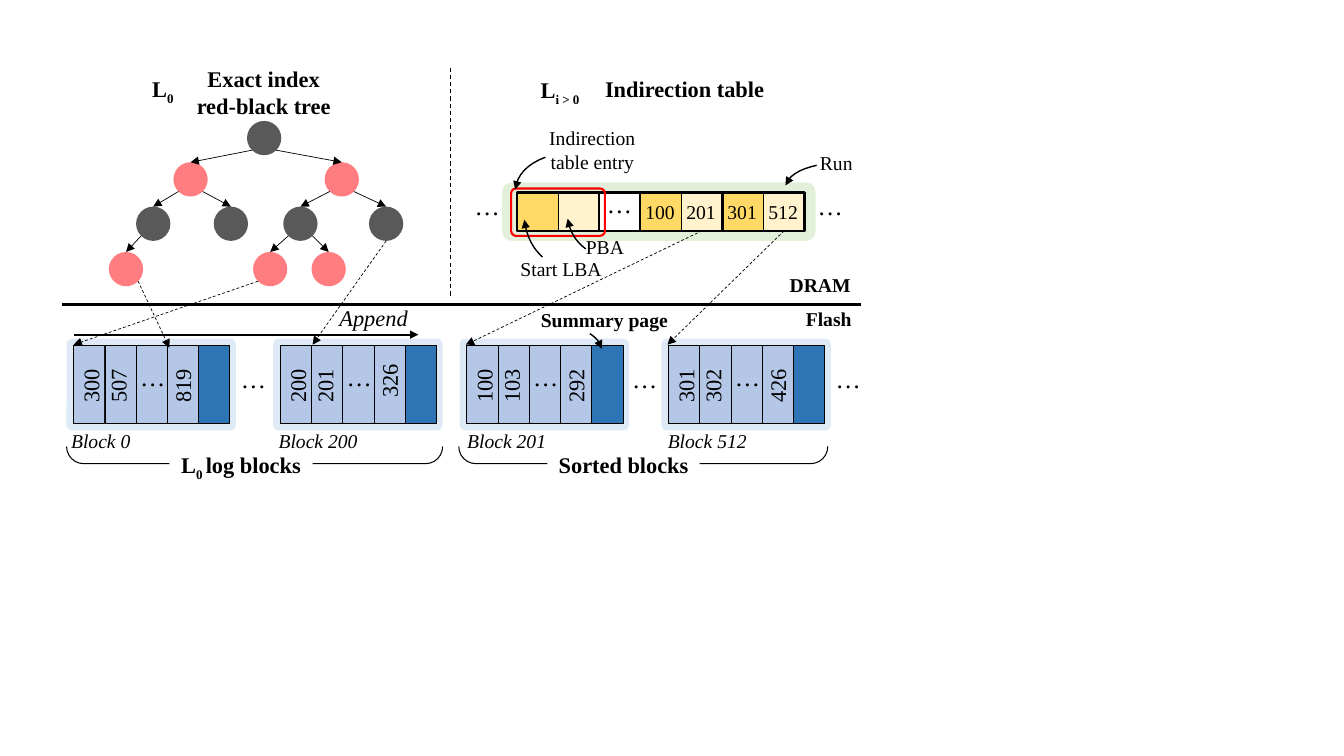
from lxml import etree
from pptx import Presentation
from pptx.dml.color import RGBColor
from pptx.enum.dml import MSO_LINE
from pptx.enum.shapes import MSO_CONNECTOR, MSO_SHAPE
from pptx.enum.text import PP_ALIGN
from pptx.oxml.ns import qn
from pptx.util import Inches, Pt

RECT, ROUND = MSO_SHAPE.RECTANGLE, MSO_SHAPE.ROUNDED_RECTANGLE
OVAL, BRACE = MSO_SHAPE.OVAL, MSO_SHAPE.RIGHT_BRACE
STRAIGHT, DASH = MSO_CONNECTOR.STRAIGHT, MSO_LINE.DASH
LEFT, CENTER = PP_ALIGN.LEFT, PP_ALIGN.CENTER
FONT = "Times New Roman"

BLACK = RGBColor(0x00, 0x00, 0x00)
WHITE = RGBColor(0xFF, 0xFF, 0xFF)
RED = RGBColor(0xFF, 0x00, 0x00)
NODE_BLACK = RGBColor(0x59, 0x59, 0x59)
NODE_RED = RGBColor(0xFF, 0x7C, 0x80)
BLOCK = RGBColor(0xDE, 0xEB, 0xF7)
PAGE = RGBColor(0xB4, 0xC7, 0xE7)
SUMMARY = RGBColor(0x2E, 0x75, 0xB6)
RUN = RGBColor(0xE2, 0xF0, 0xD9)
LBA = RGBColor(0xFF, 0xD9, 0x66)
PBA = RGBColor(0xFF, 0xF2, 0xCC)

prs = Presentation()
prs.slide_width, prs.slide_height = Inches(13.33), Inches(7.5)
shapes = prs.slides.add_slide(prs.slide_layouts[6]).shapes


def add_box(kind, x, y, w, h, fill=None, line=None, weight=0.5):
    s = shapes.add_shape(kind, Inches(x), Inches(y), Inches(w), Inches(h))
    s.shadow.inherit = False
    if fill is None:
        s.fill.background()
    else:
        s.fill.solid()
        s.fill.fore_color.rgb = fill
    if line is None:
        s.line.fill.background()
    else:
        s.line.color.rgb = line
        s.line.width = Pt(weight)
    return s


def add_text(text, x, y, w, h, size, bold=False, italic=False, align=CENTER):
    """Pieces between underscores become subscripts."""
    s = shapes.add_textbox(Inches(x), Inches(y), Inches(w), Inches(h))
    tf = s.text_frame
    tf.word_wrap = align == LEFT
    for i, line in enumerate(text.split("\n")):
        p = tf.add_paragraph() if i else tf.paragraphs[0]
        p.alignment = align
        for j, piece in enumerate(line.split("_")):
            if not piece:
                continue
            r = p.add_run()
            r.text = piece
            r.font.name, r.font.size = FONT, Pt(size)
            r.font.bold, r.font.italic = bold, italic
            r.font.color.rgb = BLACK
            if j % 2:
                r._r.get_or_add_rPr().set("baseline", "-25000")
    return s


# Braces under the blocks, with their labels, behind the block captions
for x, length, label, label_x, label_w in [
    (0.66, 3.73, "L_0 _log blocks", 1.68, 1.42),
    (4.55, 3.66, "Sorted blocks", 5.43, 1.51),
]:
    s = add_box(BRACE, x + length / 2 - 0.17, 4.6 - length / 2, 0.34, length, None, BLACK, 0.75)
    s.rotation = 90
    s.adjustments[0], s.adjustments[1] = 0.495, 0.499
    s = add_text(label, label_x, 4.43, label_w, 0.37, 16, bold=True)
    s.fill.solid()
    s.fill.fore_color.rgb = WHITE

# Flash blocks: left edge, page values, caption, caption left and width
blocks = [
    (0.66, ("300", "507", "819"), "Block 0", 0.6, 0.8),
    (2.71, ("200", "201", "326"), "Block 200", 2.66, 0.99),
    (4.56, ("100", "103", "292"), "Block 201", 4.53, 0.99),
    (6.56, ("301", "302", "426"), "Block 512", 6.52, 0.99),
]
page_w = 0.31
for x, values, caption, caption_x, caption_w in blocks:
    add_box(ROUND, x, 3.36, 1.68, 0.91, BLOCK).adjustments[0] = 0.06
    for i in range(5):
        add_box(RECT, x + 0.07 + i * page_w, 3.43, page_w, 0.77,
                SUMMARY if i == 4 else PAGE, BLACK)
    for value, dx in zip(values, (-0.03, 0.24, 0.88)):
        y = 3.59 if value == "326" else 3.64
        add_text(value, x + dx, y, 0.54, 0.37, 16, align=LEFT).rotation = 270
    add_text("…", x + 0.63, 3.54, 0.45, 0.4, 18, align=LEFT)
    add_text(caption, caption_x, 4.21, caption_w, 0.34, 14, italic=True)

# Red-black tree: left, top, colour of each node
node_d = 0.34
nodes = [add_box(OVAL, x, y, node_d, node_d, color) for x, y, color in [
    (2.45, 1.2, NODE_BLACK),
    (1.72, 1.61, NODE_RED), (3.22, 1.61, NODE_RED),
    (1.35, 2.05, NODE_BLACK), (2.12, 2.05, NODE_BLACK),
    (2.81, 2.05, NODE_BLACK), (3.66, 2.05, NODE_BLACK),
    (1.08, 2.5, NODE_RED), (2.51, 2.5, NODE_RED), (3.09, 2.5, NODE_RED),
]]
arrowed = []
for parent, child in [(0, 1), (0, 2), (1, 3), (1, 4), (2, 5), (2, 6), (3, 7), (5, 8), (5, 9)]:
    a, b = nodes[parent], nodes[child]
    side = Inches(0.12 if b.left > a.left else -0.12)
    s = shapes.add_connector(STRAIGHT, a.left + a.width // 2 + side,
                             a.top + Inches(0.29), b.left, b.top)
    s.end_connect(b, 0)
    s.line.color.rgb = BLACK
    s.line.width = Pt(0.5)
    arrowed.append(s)

# Indirection table
add_box(ROUND, 4.98, 1.81, 3.11, 0.58, RUN)
cell_x, cell_w, cell_y, cell_h = 5.13, 2.85 / 7, 1.91, 0.38
cells = [add_box(RECT, cell_x + i * cell_w, cell_y, cell_w, cell_h, fill, BLACK)
         for i, fill in enumerate((LBA, PBA, WHITE, LBA, PBA, LBA, PBA))]
for first, count in [(0, 2), (2, 1), (3, 2), (5, 2)]:
    add_box(RECT, cell_x + first * cell_w, cell_y, count * cell_w, cell_h, None, BLACK, 1.5)
for i, value in enumerate(("100", "201", "301", "512"), 3):
    add_text(value, cell_x + i * cell_w - 0.09, 1.93, 0.57, 0.34, 14)
add_box(ROUND, 5.07, 1.87, 0.93, 0.47, None, RED, 1.5).adjustments[0] = 0.1

# Ellipses between and beside the parts
for x, y in [(4.61, 1.84), (5.92, 1.82), (8.01, 1.84), (2.29, 3.56), (6.17, 3.56), (8.19, 3.56)]:
    add_text("…", x, y, 0.45, 0.4, 18, align=LEFT)

# Headings and labels
for text, x, y, w, h, size, bold, italic in [
    ("L_0_", 1.3, 0.7, 0.63, 0.37, 16, True, False),
    ("Exact index\nred-black tree", 1.84, 0.6, 1.55, 0.64, 16, True, False),
    ("L_i > 0_", 5.24, 0.71, 0.63, 0.37, 16, True, False),
    ("Indirection table", 5.89, 0.7, 1.8, 0.37, 16, True, False),
    ("Indirection\ntable entry", 5.33, 1.2, 1.09, 0.57, 14, False, False),
    ("Run", 8.03, 1.45, 0.53, 0.34, 14, False, False),
    ("Start LBA", 5.06, 2.5, 1.01, 0.34, 14, False, False),
    ("PBA", 5.71, 2.28, 0.58, 0.34, 14, False, False),
    ("DRAM", 7.73, 2.66, 0.81, 0.34, 14, True, False),
    ("Flash", 7.89, 3, 0.66, 0.34, 14, True, False),
    ("Summary page", 5.26, 3.01, 1.47, 0.34, 14, True, False),
    ("Append", 3.26, 2.97, 0.89, 0.37, 16, False, True),
]:
    add_text(text, x, y, w, h, size, bold, italic)

# Dividers, append arrow and dashed pointers: ends, weight, dashed, arrow, cell above
lines = []
for x1, y1, x2, y2, weight, dashed, arrow, cell in [
    (0.62, 3.02, 8.54, 3.02, 2.25, False, False, None),
    (4.47, 0.67, 4.47, 2.96, 0.75, True, False, None),
    (0.73, 3.32, 4.15, 3.32, 1.5, False, True, None),
    (1.37, 2.79, 1.68, 3.45, 0.5, True, True, None),
    (2.56, 2.79, 0.73, 3.42, 0.5, True, True, None),
    (3.83, 2.39, 3.1, 3.42, 0.5, True, True, None),
    (6.96, 2.29, 4.62, 3.42, 0.5, True, True, cells[4]),
    (7.78, 2.29, 6.62, 3.42, 0.5, True, True, cells[6]),
]:
    s = shapes.add_connector(STRAIGHT, Inches(x1), Inches(y1), Inches(x2), Inches(y2))
    if cell is not None:
        s.begin_connect(cell, 2)
    s.line.color.rgb = BLACK
    s.line.width = Pt(weight)
    if dashed:
        s.line.dash_style = DASH
    (arrowed if arrow else lines).append(s)
for s in lines + arrowed:
    etree.SubElement(s._element.spPr, qn("a:effectLst"))

# Curved pointers, each through a start, a middle and an end point
steps = 8
for start, middle, end in [
    ((5.41, 1.56), (5.2, 1.69), (5.11, 1.88)),
    ((5.38, 2.55), (5.26, 2.39), (5.2, 2.18)),
    ((5.81, 2.47), (5.69, 2.34), (5.63, 2.17)),
    ((8.1, 1.64), (7.89, 1.72), (7.79, 1.84)),
    ((5.85, 3.31), (5.93, 3.38), (5.97, 3.46)),
]:
    points = []
    for i in range(steps + 1):
        t = i / steps
        points.append([Inches((1 - t) * (1 - 2 * t) * a + 4 * t * (1 - t) * m + t * (2 * t - 1) * b)
                       for a, m, b in zip(start, middle, end)])
    builder = shapes.build_freeform(*points[0])
    builder.add_line_segments(points[1:], close=False)
    s = builder.convert_to_shape()
    s.shadow.inherit = False
    s.fill.background()
    s.line.color.rgb = BLACK
    s.line.width = Pt(1)
    arrowed.append(s)

# Arrowheads
for s in arrowed:
    etree.SubElement(s._element.spPr.get_or_add_ln(), qn("a:tailEnd"), type="triangle")

prs.save("out.pptx")
